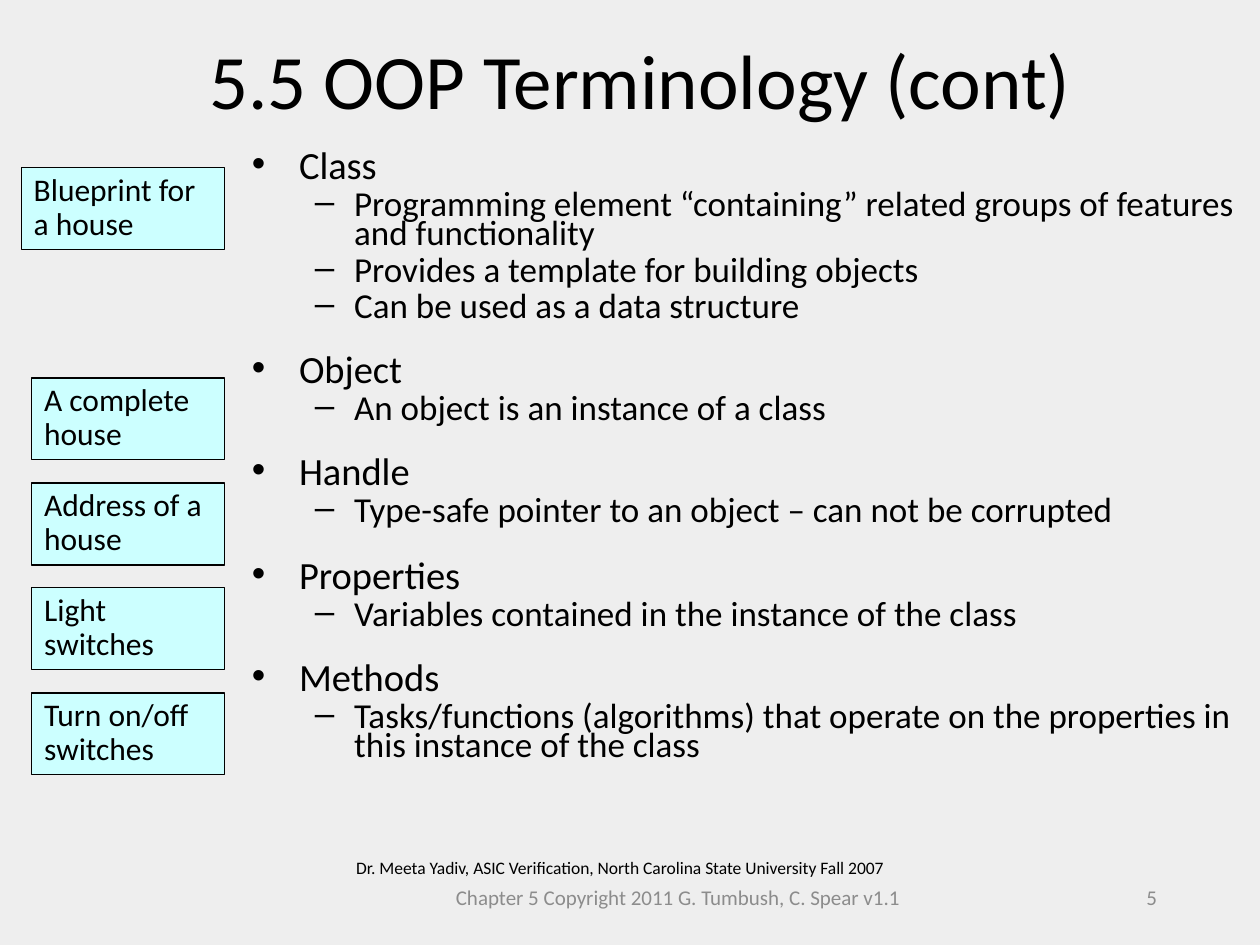
from lxml import etree
from pptx import Presentation
from pptx import util as u
from pptx.dml.color import RGBColor
from pptx.enum import shapes, text
from pptx.oxml.ns import qn


def colour(value):
    return RGBColor.from_string(value)


def style(paragraph, size, ink="000000", **formats):
    """Set the font of a paragraph, then any further paragraph formats."""
    font = paragraph.font
    font.name, font.size = "Calibri", u.Pt(size)
    font.color.rgb = colour(ink)
    for name, value in formats.items():
        setattr(paragraph, name, value)


deck = Presentation()
deck.slide_width, deck.slide_height = u.Cm(25.4), u.Cm(19.05)
slide = deck.slides.add_slide(deck.slide_layouts[5])
slide.background.fill.solid()
slide.background.fill.fore_color.rgb = colour("EEEEEE")

title = slide.shapes.title
title.left, title.top, title.width, title.height = u.Cm(1.48), u.Cm(0), u.Cm(22.86), u.Cm(3.18)
title.text_frame.text = "5.5 OOP Terminology (cont)"
title.text_frame.auto_size = text.MSO_AUTO_SIZE.NONE
title.text_frame.vertical_anchor = text.MSO_ANCHOR.MIDDLE
style(title.text_frame.paragraphs[0], 44, alignment=text.PP_ALIGN.CENTER)

# Each term: gap above in points, then its explanations
terms = {
    "Class": (0, [
        "Programming element “containing” related groups of features and functionality",
        "Provides a template for building objects",
        "Can be used as a data structure",
    ]),
    "Object": (19, ["An object is an instance of a class"]),
    "Handle": (19, ["Type-safe pointer to an object – can not be corrupted"]),
    "Properties": (20, ["Variables contained in the instance of the class"]),
    "Methods": (19, [
        "Tasks/functions (algorithms) that operate on the properties in this instance of the class",
    ]),
}
lines = []
for term, (gap, explanations) in terms.items():
    lines.append((term, 0, "•", 22, gap, 0.95, 0.95))
    lines += [(words, 1, "–", 20, 4, 2.06, 0.79) for words in explanations]

terminology = slide.shapes.add_textbox(u.Cm(4.83), u.Cm(2.97), u.Cm(20.57), u.Cm(13.97)).text_frame
terminology.word_wrap = True
for index, (words, level, bullet, size, gap, margin, hanging) in enumerate(lines):
    paragraph = terminology.add_paragraph() if index else terminology.paragraphs[0]
    paragraph.text = words
    properties = paragraph._p.get_or_add_pPr()
    properties.set("marL", str(u.Cm(margin)))
    properties.set("indent", str(-u.Cm(hanging)))
    etree.SubElement(properties, qn("a:buFont"), typeface="Arial")
    etree.SubElement(properties, qn("a:buChar"), char=bullet)
    style(paragraph, size, level=level, line_spacing=0.7, space_before=u.Pt(gap))

analogies = [
    ("Blueprint for a house", 0.43, 3.38),
    ("A complete\nhouse", 0.64, 7.62),
    ("Address of a house", 0.64, 9.74),
    ("Light\nswitches", 0.64, 11.85),
    ("Turn on/off switches", 0.64, 13.97),
]
right_edge = 4.53
for words, left, top in analogies:
    analogy = slide.shapes.add_shape(
        shapes.MSO_SHAPE.RECTANGLE, u.Cm(left), u.Cm(top), u.Cm(right_edge - left), u.Cm(1.65))
    analogy.shadow.inherit = False
    analogy.fill.solid()
    analogy.fill.fore_color.rgb = colour("CCFFFF")
    analogy.line.color.rgb = colour("000000")
    analogy.line.width = u.Pt(0.75)
    analogy.text_frame.word_wrap = True
    analogy.text_frame.vertical_anchor = text.MSO_ANCHOR.TOP
    paragraph = analogy.text_frame.paragraphs[0]
    paragraph.text = words
    style(paragraph, 18, alignment=text.PP_ALIGN.LEFT, line_spacing=0.9)

left, centre = text.PP_ALIGN.LEFT, text.PP_ALIGN.CENTER
top, middle = text.MSO_ANCHOR.TOP, text.MSO_ANCHOR.MIDDLE
footers = [
    ("Dr. Meeta Yadiv, ASIC Verification, North Carolina State University Fall 2007",
     (6.93, 17.15, 11.92, 0.69), 10, "000000", left, top),
    ("Chapter 5 Copyright 2011 G. Tumbush, C. Spear v1.1",
     (8.69, 17.58, 9.96, 1.02), 12, "8C8C8C", centre, middle),
    ("5", (22.86, 17.58, 2.54, 1.02), 12, "8C8C8C", left, middle),
]
for words, place, size, ink, alignment, anchor in footers:
    footer = slide.shapes.add_textbox(*map(u.Cm, place)).text_frame
    footer.word_wrap = True
    footer.vertical_anchor = anchor
    footer.text = words
    style(footer.paragraphs[0], size, ink, alignment=alignment)

deck.save("out.pptx")
